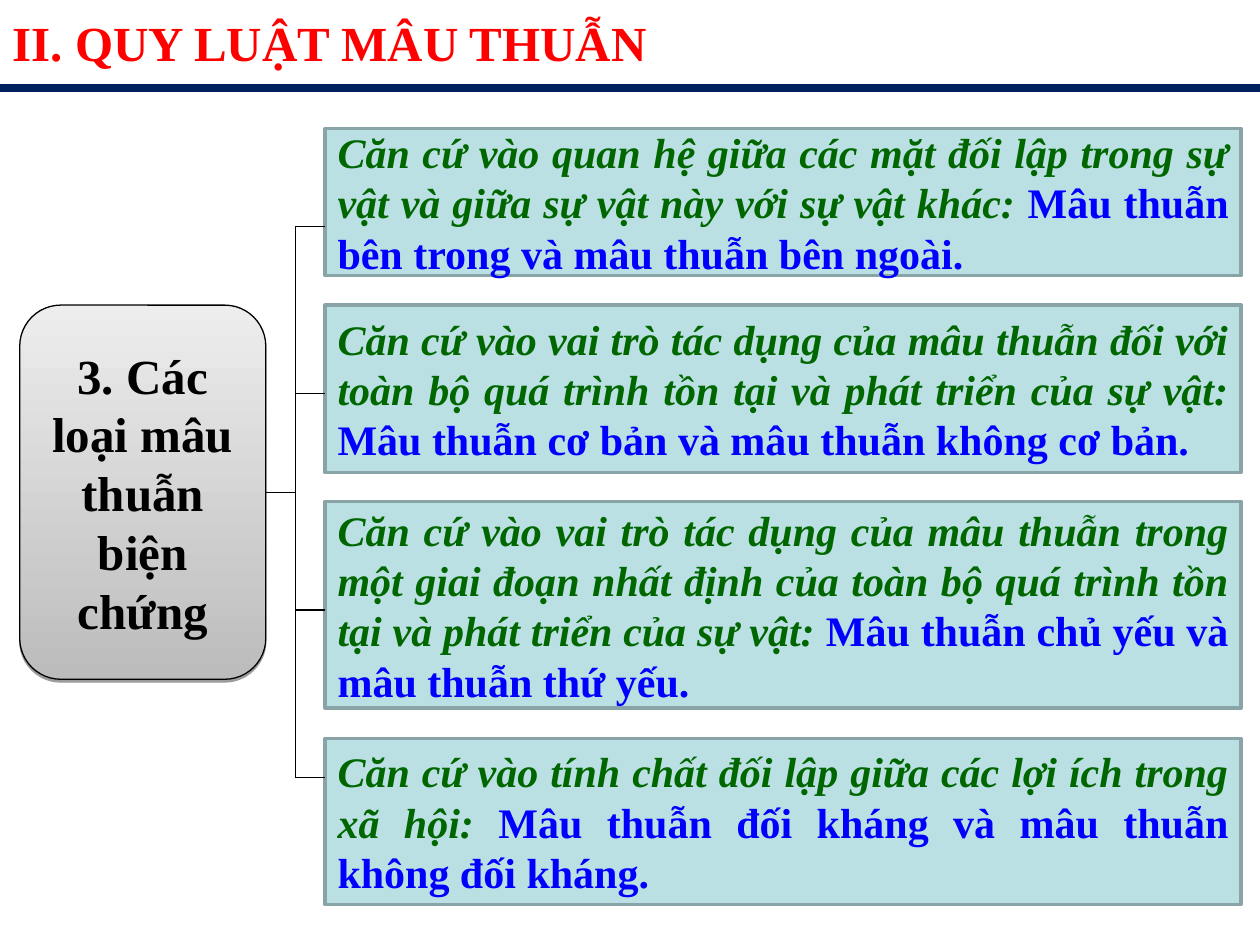
from pptx import Presentation
from pptx.dml.color import RGBColor
from pptx.enum.shapes import MSO_CONNECTOR, MSO_SHAPE
from pptx.enum.text import MSO_ANCHOR, MSO_AUTO_SIZE, PP_ALIGN
from pptx.oxml import parse_xml
from pptx.oxml.ns import nsdecls
from pptx.util import Pt

STRAIGHT = MSO_CONNECTOR.STRAIGHT
RECTANGLE, ROUNDED = MSO_SHAPE.RECTANGLE, MSO_SHAPE.ROUNDED_RECTANGLE
TOP, MIDDLE = MSO_ANCHOR.TOP, MSO_ANCHOR.MIDDLE
JUSTIFY, CENTER = PP_ALIGN.JUSTIFY, PP_ALIGN.CENTER

RED = RGBColor(0xFF, 0x00, 0x00)
NAVY = RGBColor(0x00, 0x20, 0x60)
BLACK = RGBColor(0x00, 0x00, 0x00)
GREEN = RGBColor(0x00, 0x66, 0x00)
BLUE = RGBColor(0x00, 0x00, 0xFF)
PALE_TEAL = RGBColor(0xBB, 0xE0, 0xE3)
GREY_TEAL = RGBColor(0x89, 0xA4, 0xA7)
DARK_GREY = RGBColor(0xBC, 0xBC, 0xBC)
LIGHT_GREY = RGBColor(0xED, 0xED, 0xED)


def write(shape, *parts, size, align, anchor=MIDDLE):
    """Fill a shape with one paragraph of (text, colour, italic) parts."""
    frame = shape.text_frame
    frame.word_wrap = True
    frame.vertical_anchor = anchor
    paragraph = frame.paragraphs[0]
    paragraph.alignment = align
    for text, color, italic in parts:
        run = paragraph.add_run()
        run.text = text
        run.font.name = "Times New Roman"
        run.font.size = Pt(size)
        run.font.bold = True
        run.font.italic = italic
        run.font.color.rgb = color


def add_line(x1, y1, x2, y2, color=BLACK, width=0.75):
    line = slide.shapes.add_connector(STRAIGHT, Pt(x1), Pt(y1), Pt(x2), Pt(y2))
    line.line.color.rgb = color
    line.line.width = Pt(width)
    line._element.spPr.append(parse_xml(f"<a:effectLst {nsdecls('a')}/>"))
    return line


prs = Presentation()
prs.slide_width, prs.slide_height = Pt(720), Pt(540)
slide = prs.slides.add_slide(prs.slide_layouts[5])

# Heading and its rule
add_line(0, 50.4, 720, 50.4, NAVY, 4.5)
heading = slide.shapes.title
heading.left, heading.top, heading.width, heading.height = Pt(0), Pt(3.6), Pt(720), Pt(41)
write(heading, ("II. QUY LUẬT MÂU THUẪN", RED, False), size=28, align=JUSTIFY, anchor=TOP)
heading.text_frame.auto_size = MSO_AUTO_SIZE.SHAPE_TO_FIT_TEXT

# Criteria: top, height, height of the branch line, criterion, kinds
BOX_LEFT, BOX_WIDTH = 185.8, 523.4
criteria = [
    (73.4, 84.2, 129.6,
     "Căn cứ vào quan hệ giữa các mặt đối lập trong sự vật và giữa sự vật này với sự vật khác: ",
     "Mâu thuẫn bên trong và mâu thuẫn bên ngoài."),
    (174.2, 95.8, 224.8,
     "Căn cứ vào vai trò tác dụng của mâu thuẫn đối với toàn bộ quá trình tồn tại và phát triển của sự vật: ",
     "Mâu thuẫn cơ bản và mâu thuẫn không cơ bản."),
    (286.6, 118.1, 348.6,
     "Căn cứ vào vai trò tác dụng của mâu thuẫn trong một giai đoạn nhất định của toàn bộ quá trình tồn tại và phát triển của sự vật: ",
     "Mâu thuẫn chủ yếu và mâu thuẫn thứ yếu."),
    (421.9, 95, 444.2,
     "Căn cứ vào tính chất đối lập giữa các lợi ích trong xã hội: ",
     "Mâu thuẫn đối kháng và mâu thuẫn không đối kháng."),
]
for top, height, _, criterion, kinds in criteria:
    box = slide.shapes.add_shape(RECTANGLE, Pt(BOX_LEFT), Pt(top), Pt(BOX_WIDTH), Pt(height))
    box.shadow.inherit = False
    box.fill.solid()
    box.fill.fore_color.rgb = PALE_TEAL
    box.line.color.rgb = GREY_TEAL
    box.line.width = Pt(2)
    write(box, (criterion, GREEN, True), (kinds, BLUE, False), size=24, align=JUSTIFY)

# Root topic
topic = slide.shapes.add_shape(ROUNDED, Pt(11.3), Pt(174.4), Pt(140.6), Pt(213.8))
topic.fill.gradient()
topic.fill.gradient_angle = 90
for stop, color, position in zip(topic.fill.gradient_stops, (DARK_GREY, LIGHT_GREY), (0, 1)):
    stop.color.rgb = color
    stop.position = position
topic.line.color.rgb = BLACK
topic.line.width = Pt(0.75)
topic._element.spPr.append(parse_xml(
    f"<a:effectLst {nsdecls('a')}>"
    '<a:outerShdw blurRad="0" dist="20320" dir="5400000" rotWithShape="0">'
    '<a:srgbClr val="000000"><a:alpha val="38000"/></a:srgbClr>'
    "</a:outerShdw></a:effectLst>"))
write(topic, ("3. Các loại mâu thuẫn biện chứng", BLACK, False), size=28, align=CENTER)

# Bracket from the topic to the criteria
TRUNK = 168.8
branches = [branch for _, _, branch, _, _ in criteria]
add_line(TRUNK, branches[0], TRUNK, branches[-1])
for branch in branches:
    add_line(TRUNK, branch, BOX_LEFT, branch)
stem = add_line(151.9, 281.3, TRUNK, 281.3)
stem.begin_connect(topic, 3)

prs.save("out.pptx")
